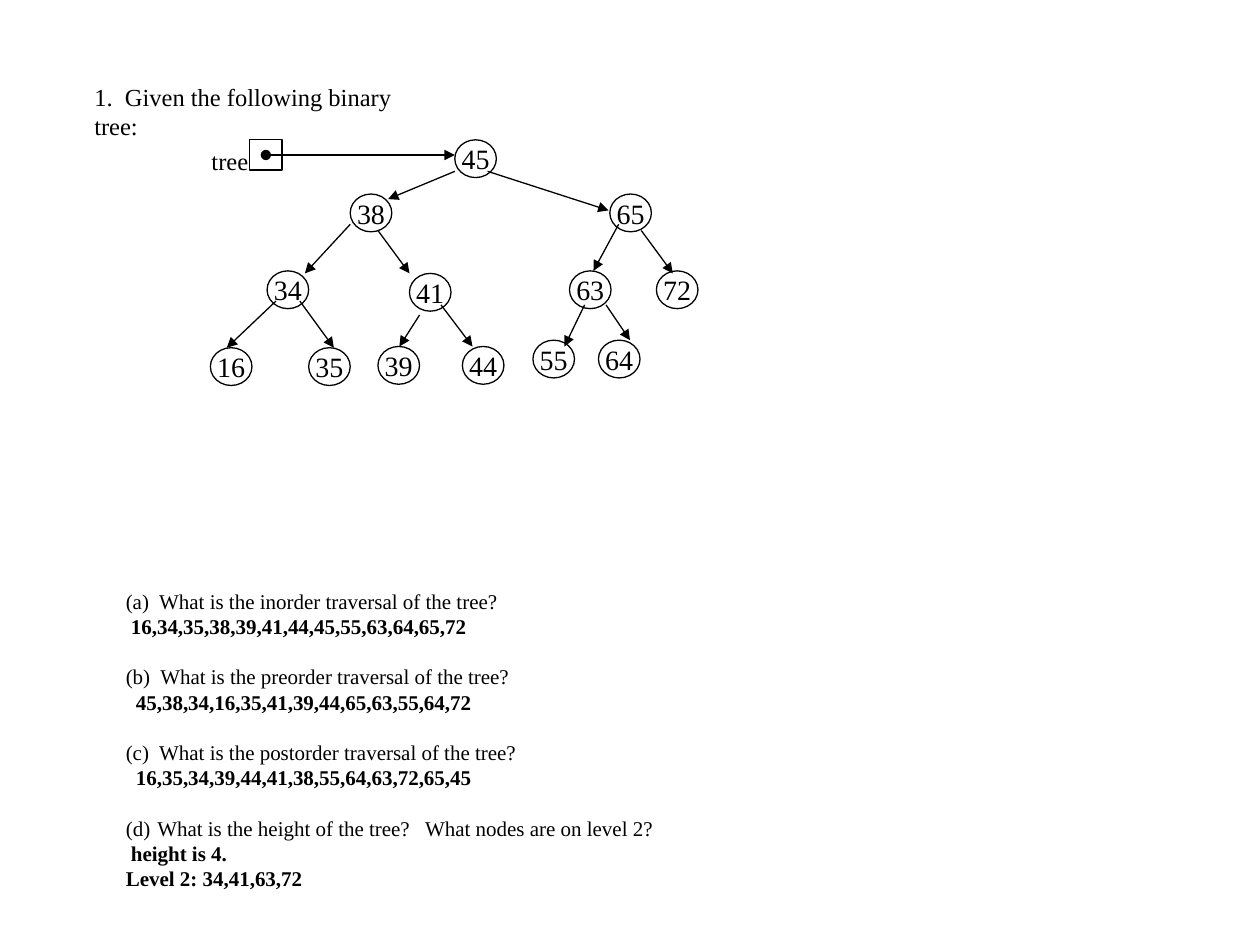
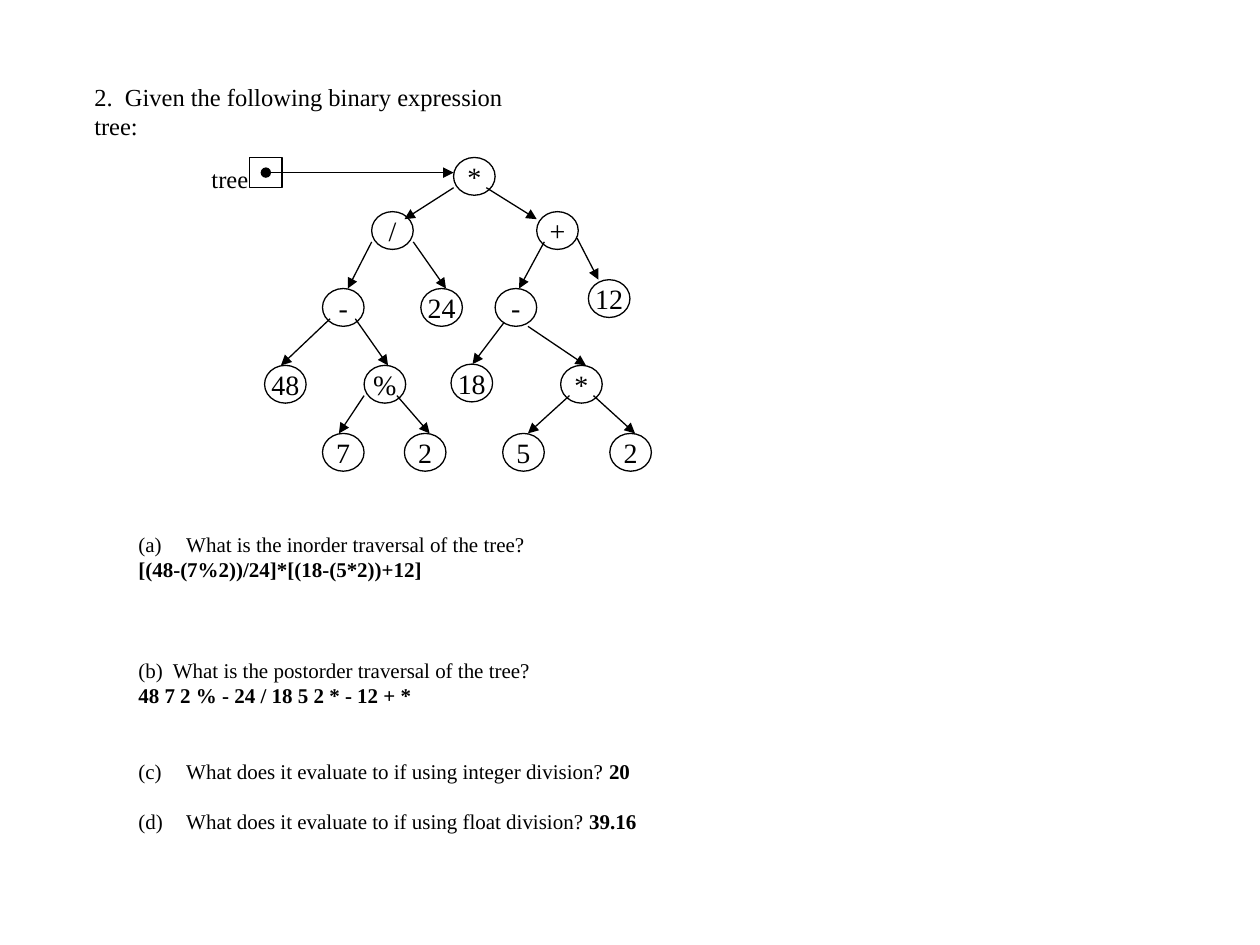
from pptx import Presentation
from pptx.dml.color import RGBColor
from pptx.enum.shapes import MSO_CONNECTOR as Connector, MSO_SHAPE as Shape
from pptx.enum.text import MSO_ANCHOR as Anchor, PP_ALIGN as Align
from pptx.oxml.ns import qn
from pptx.util import Inches, Pt
from lxml.etree import SubElement

FONT = "Times New Roman"
INK = "000000"
PAPER = "FFFFFF"
LINE_WIDTH = 0.75
NODE_WIDTH, NODE_HEIGHT = 0.33, 0.3
LINE_PITCH = 14.4


def color(value):
    return RGBColor.from_string(value)


def style_font(paragraph, size):
    paragraph.font.name = FONT
    paragraph.font.size = Pt(size)
    paragraph.font.color.rgb = color(INK)


def add_text_box(shapes, box, wrap):
    frame = shapes.add_textbox(*map(Inches, box)).text_frame
    frame.word_wrap = wrap
    return frame


def add_label(shapes, box, text, wrap=False):
    paragraph = add_text_box(shapes, box, wrap).paragraphs[0]
    paragraph.text = text
    style_font(paragraph, 14)


def add_outline(shapes, kind, box):
    shape = shapes.add_shape(kind, *map(Inches, box))
    shape.shadow.inherit = False
    shape.fill.background()
    shape.line.color.rgb = color(INK)
    shape.line.width = Pt(LINE_WIDTH)
    return shape


def add_node(shapes, left, top, label):
    shape = add_outline(shapes, Shape.OVAL, (left, top, NODE_WIDTH, NODE_HEIGHT))
    frame = shape.text_frame
    frame.word_wrap = False
    frame.vertical_anchor = Anchor.MIDDLE
    paragraph = frame.paragraphs[0]
    paragraph.text = label
    paragraph.alignment = Align.CENTER
    style_font(paragraph, 16)


def add_arrow(shapes, start, end, head=None):
    arrow = shapes.add_connector(Connector.STRAIGHT, *map(Inches, (*start, *end)))
    arrow.line.color.rgb = color(INK)
    arrow.line.width = Pt(LINE_WIDTH)
    properties = arrow.element.spPr
    line = properties.find(qn("a:ln"))
    if head:
        SubElement(line, qn("a:headEnd"), type=head)
    SubElement(line, qn("a:tailEnd"), type="triangle")
    SubElement(properties, qn("a:effectLst"))


def add_tree(slide, left, top, root, children):
    shapes = slide.shapes.add_group_shape().shapes

    def place(point):
        return left + point[0], top + point[1]

    label, root_left = root
    add_node(shapes, *place((root_left, 0)), label)
    for label, corner, start, end in children:
        add_node(shapes, *place(corner), label)
        add_arrow(shapes, place(start), place(end))
    add_outline(shapes, Shape.RECTANGLE, (*place((0.4, 0)), 0.26, 0.24))
    add_label(shapes, (left, top, 0.49, 0.33), "tree")
    add_arrow(shapes, place((0.53, 0.12)), place((root_left, 0.12)), "oval")


def set_indent(paragraph, margin, number, hang):
    properties = paragraph._p.get_or_add_pPr()
    properties.set("marL", str(Inches(hang if number else margin)))
    properties.set("indent", str(-Inches(hang) if number else 0))
    if number:
        SubElement(properties, qn("a:buFont"), typeface=FONT)
        SubElement(properties, qn("a:buAutoNum"), type="alphaLcParenBoth", startAt=str(number))


def add_questions(slide, box, hang, lines):
    frame = add_text_box(slide.shapes, box, True)
    for index, line in enumerate(lines):
        paragraph = frame.paragraphs[0] if index == 0 else frame.add_paragraph()
        style_font(paragraph, 12)
        paragraph.space_before = Pt(LINE_PITCH * line.get("gap", 0))
        set_indent(paragraph, line.get("margin", 0), line.get("number"), hang)
        if "ask" in line:
            paragraph.add_run().text = line["ask"]
        if "answer" in line:
            run = paragraph.add_run()
            run.text = line["answer"]
            run.font.bold = True


def add_exercise(presentation, title, title_width, tree, questions):
    slide = presentation.slides.add_slide(presentation.slide_layouts[6])
    slide.background.fill.solid()
    slide.background.fill.fore_color.rgb = color(PAPER)
    add_label(slide.shapes, (0.65, 0.6, title_width, 0.33), title, wrap=True)
    add_questions(slide, *questions)
    add_tree(slide, *tree)


SEARCH_TREE = [
    ("38", (1.2, 0.43), (2.03, 0.25), (1.5, 0.47)),
    ("65", (3.26, 0.43), (2.29, 0.25), (3.25, 0.56)),
    ("34", (0.54, 1.04), (1.2, 0.67), (0.84, 1.06)),
    ("41", (1.67, 1.06), (1.42, 0.72), (1.67, 1.06)),
    ("63", (2.94, 1.04), (3.33, 0.67), (3.13, 1.04)),
    ("72", (3.63, 1.04), (3.51, 0.72), (3.76, 1.06)),
    ("16", (0.09, 1.65), (0.61, 1.28), (0.22, 1.65)),
    ("35", (0.87, 1.65), (0.8, 1.28), (1.07, 1.65)),
    ("39", (1.42, 1.64), (1.75, 1.39), (1.59, 1.64)),
    ("44", (2.09, 1.64), (1.92, 1.31), (2.17, 1.64)),
    ("55", (2.65, 1.59), (3.06, 1.31), (2.9, 1.64)),
    ("64", (3.17, 1.59), (3.23, 1.31), (3.42, 1.59)),
]

EXPRESSION_TREE = [
    ("/", (1.37, 0.43), (2.02, 0.24), (1.63, 0.49)),
    ("+", (2.68, 0.43), (2.28, 0.24), (2.68, 0.49)),
    ("-", (0.98, 1.04), (1.37, 0.67), (1.18, 1.04)),
    ("24", (1.76, 1.04), (1.7, 0.67), (1.96, 1.04)),
    ("-", (2.35, 1.04), (2.74, 0.67), (2.54, 1.04)),
    ("12", (3.09, 0.97), (3, 0.64), (3.17, 0.97)),
    ("48", (0.52, 1.65), (1.04, 1.28), (0.65, 1.65)),
    ("%", (1.31, 1.65), (1.24, 1.28), (1.5, 1.65)),
    ("18", (2, 1.64), (2.42, 1.31), (2.17, 1.64)),
    ("*", (2.87, 1.65), (2.61, 1.34), (3.07, 1.65)),
    ("7", (0.98, 2.19), (1.31, 1.89), (1.11, 2.19)),
    ("2", (1.63, 2.19), (1.57, 1.89), (1.83, 2.19)),
    ("5", (2.41, 2.19), (2.94, 1.89), (2.61, 2.19)),
    ("2", (3.26, 2.19), (3.13, 1.89), (3.46, 2.19)),
]

SEARCH_QUESTIONS = [
    {"ask": "(a)  What is the inorder traversal of the tree?"},
    {"answer": "16,34,35,38,39,41,44,45,55,63,64,65,72", "margin": 0.04},
    {"ask": "(b)  What is the preorder traversal of the tree?", "gap": 1},
    {"answer": "45,38,34,16,35,41,39,44,65,63,55,64,72", "margin": 0.08},
    {"ask": "(c)  What is the postorder traversal of the tree?", "gap": 1},
    {"answer": "16,35,34,39,44,41,38,55,64,63,72,65,45", "margin": 0.08},
    {"ask": "What is the height of the tree?   What nodes are on level 2?", "number": 4, "gap": 1},
    {"answer": "height is 4.", "margin": 0.04},
    {"answer": "Level 2: 34,41,63,72"},
]

EXPRESSION_QUESTIONS = [
    {"ask": "What is the inorder traversal of the tree?", "number": 1},
    {"answer": "[(48-(7%2))/24]*[(18-(5*2))+12]"},
    {"ask": "(b)  What is the postorder traversal of the tree?", "gap": 3},
    {"answer": "48 7 2 % - 24 / 18 5 2 * - 12 + *"},
    {"ask": "What does it evaluate to if using integer division? ", "answer": "20", "number": 3, "gap": 2},
    {"ask": "What does it evaluate to if using float division?", "answer": " 39.16", "number": 4, "gap": 1},
]

presentation = Presentation()
presentation.slide_width, presentation.slide_height = Inches(10), Inches(7.5)
add_exercise(
    presentation, "1.  Given the following binary tree:", 2.9,
    (1.58, 1.11, ("45", 2.03), SEARCH_TREE),
    ((0.9, 4.62, 4.45, 2.52), 0.25, SEARCH_QUESTIONS),
)
add_exercise(
    presentation, "2.  Given the following binary expression tree:", 3.8,
    (1.58, 1.25, ("*", 2.02), EXPRESSION_TREE),
    ((1, 4.17, 4.2, 3.13), 0.38, EXPRESSION_QUESTIONS),
)
presentation.save("out.pptx")
